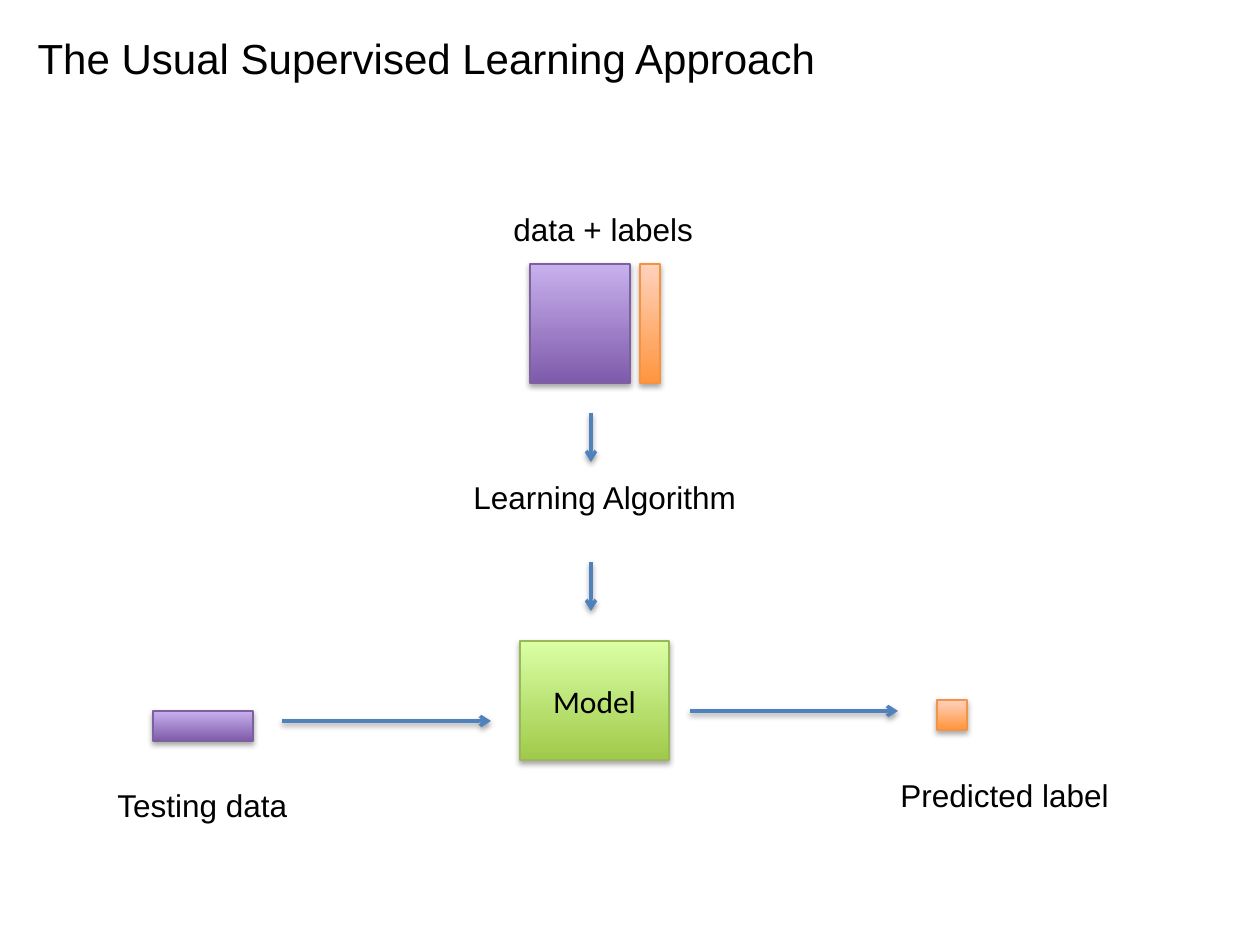
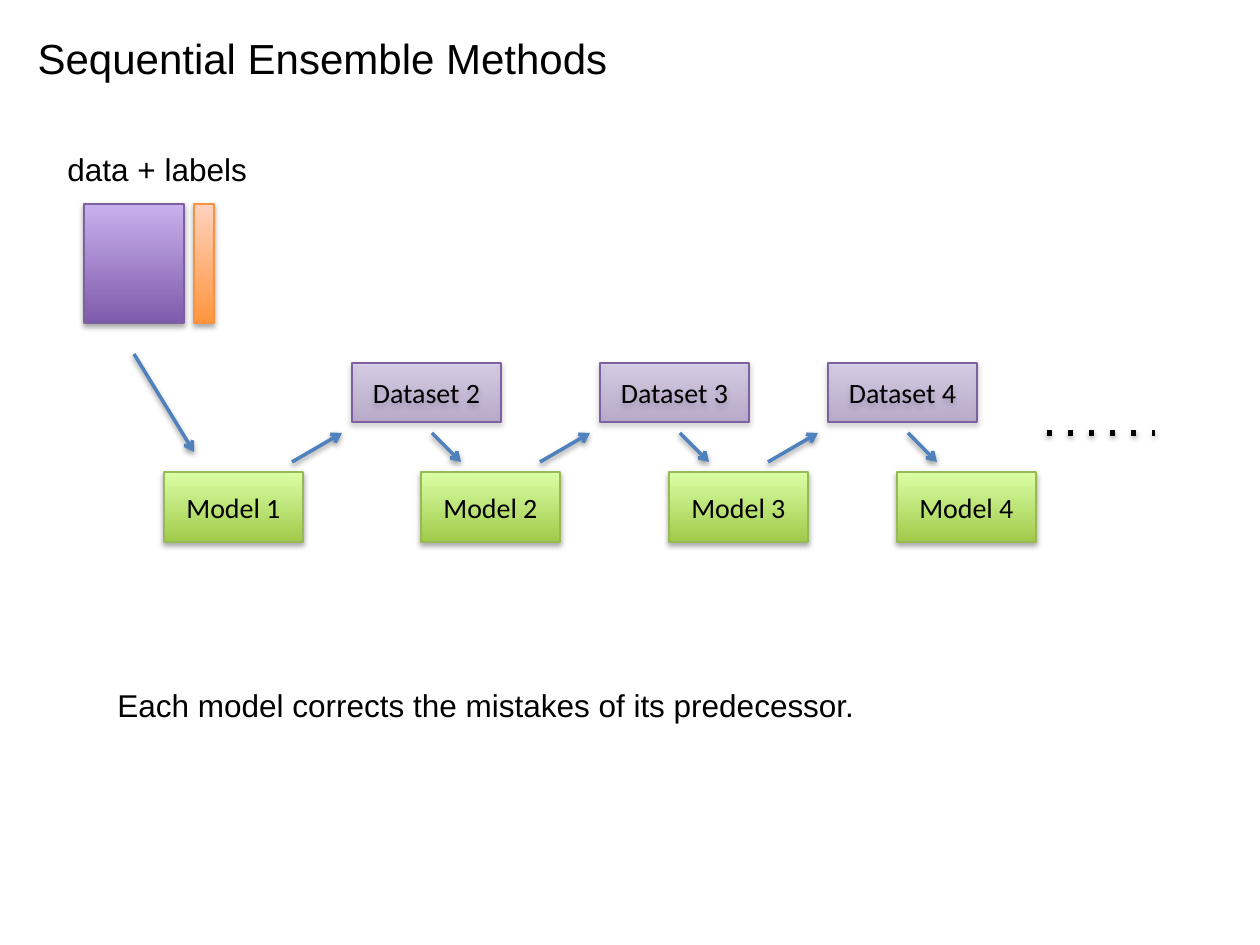
"""Build two slides on supervised learning and sequential ensembles."""
from lxml.etree import SubElement
from pptx import Presentation
from pptx.dml.color import RGBColor
from pptx.enum.shapes import MSO_CONNECTOR as CONN, MSO_SHAPE as SHAPE
from pptx.enum.text import MSO_ANCHOR as ANCHOR, MSO_AUTO_SIZE as FIT, PP_ALIGN as ALIGN
from pptx.oxml.ns import qn
from pptx.util import Pt

PX = 914400 / 126
rgb = RGBColor.from_string
BLACK, BLUE = "000000", "4F81BD"
PURPLE = ("7F5BAB", "C8B0ED", "7D60A0", 100)
PALE = ("7F5BAB", "C8B0ED", "7D60A0", 38)
ORANGE = ("FF953E", "FFD2BD", "F69240", 100)
GREEN = ("A0CA4A", "DAFFA5", "98B955", 100)


def write(sp, text, size=18, font="Arial", align=ALIGN.LEFT, anchor=ANCHOR.TOP,
          wrap=False, fit=FIT.SHAPE_TO_FIT_TEXT):
    tf = sp.text_frame
    tf.word_wrap, tf.auto_size, tf.vertical_anchor = wrap, fit, anchor
    p = tf.paragraphs[0]
    p.alignment = align
    r = p.add_run()
    r.text = text
    r.font.size, r.font.name = Pt(size), font
    r.font.color.rgb = rgb(BLACK)


def add_shadow(sp, dist, opacity):
    effects = SubElement(sp._element.spPr, qn("a:effectLst"))
    shadow = SubElement(effects, qn("a:outerShdw"), blurRad="40000", dist=str(dist),
                        dir="5400000", rotWithShape="0")
    clr = SubElement(shadow, qn("a:srgbClr"), val=BLACK)
    SubElement(clr, qn("a:alpha"), val=str(opacity * 1000))


approach = {
    "title": ("The Usual Supervised Learning Approach", 810),
    "data": (530, 264),
    "boxes": [
        (520, 641, 149, 119, GREEN, "Model", 18),
        (153, 711, 100, 30, PURPLE, "", 18),
        (937, 700, 30, 30, ORANGE, "", 18),
    ],
    "labels": [
        (461, 472, 291, "Learning Algorithm"),
        (105, 780, 197, "Testing data"),
        (888, 770, 236, "Predicted label"),
    ],
    "lines": [
        (591, 413, 591, 462, True),
        (591, 562, 591, 611, True),
        (282, 721, 491, 721, True),
        (690, 711, 898, 711, True),
    ],
}
ensemble = {
    "title": ("Sequential Ensemble Methods", 601),
    "data": (84, 204),
    "boxes": [(164, 472, 139, 70, GREEN, "Model 1", 16)],
    "labels": [(105, 680, 762, "Each model corrects the mistakes of its predecessor.")],
    "lines": [(134, 354, 194, 452, True), (1047, 433, 1155, 433, False)],
}
for n, x in enumerate((352, 600, 828), 2):
    ensemble["boxes"] += [
        (x, 363, 149, 59, PALE, f"Dataset {n}", 16),
        (x + 69, 472, 139, 70, GREEN, f"Model {n}", 16),
    ]
    ensemble["lines"] += [
        (x - 60, 462, x - 10, 433, True),
        (x + 80, 433, x + 109, 462, True),
    ]

prs = Presentation()
prs.slide_width, prs.slide_height = round(1260 * PX), round(945 * PX)

for page in (approach, ensemble):
    s = prs.slides.add_slide(prs.slide_layouts[5])
    text, width = page["title"]
    title = s.shapes.title
    title.left, title.top, title.width, title.height = [
        round(v * PX) for v in (25, 26, width, 63)]
    write(title, text, size=24)

    x, y = page["data"]
    data_boxes = [(x, y, 100, 119, PURPLE, "", 18), (x + 110, y, 20, 119, ORANGE, "", 18)]
    data_label = (x - 29, y - 60, 208, "data + labels")

    for *place, look, text, size in data_boxes + page["boxes"]:
        sp = s.shapes.add_shape(SHAPE.RECTANGLE, *[round(v * PX) for v in place])
        dark, light, edge, opacity = look
        sp.fill.gradient()
        sp.fill.gradient_angle = 90
        for stop, colour in zip(sp.fill.gradient_stops, (dark, light)):
            stop.color.rgb = rgb(colour)
        if opacity < 100:
            for clr in sp._element.spPr.iter(qn("a:srgbClr")):
                SubElement(clr, qn("a:alpha"), val=str(opacity * 1000))
        sp.line.color.rgb = rgb(edge)
        sp.line.width = Pt(0.75)
        add_shadow(sp, 23000, 35)
        if text:
            write(sp, text, size=size, font="Calibri", align=ALIGN.CENTER,
                  anchor=ANCHOR.MIDDLE, wrap=True, fit=FIT.NONE)

    for x, y, width, text in [data_label] + page["labels"]:
        sp = s.shapes.add_textbox(*[round(v * PX) for v in (x, y, width, 50)])
        write(sp, text)

    for *ends, arrow in page["lines"]:
        line = s.shapes.add_connector(CONN.STRAIGHT, *[round(v * PX) for v in ends])
        line.line.color.rgb = rgb(BLUE if arrow else BLACK)
        line.line.width = Pt(2 if arrow else 3)
        ln = line.line._get_or_add_ln()
        if arrow:
            SubElement(ln, qn("a:tailEnd"), type="arrow")
        else:
            SubElement(ln, qn("a:prstDash"), val="dot")
        add_shadow(line, 20000, 38)

prs.save("out.pptx")
